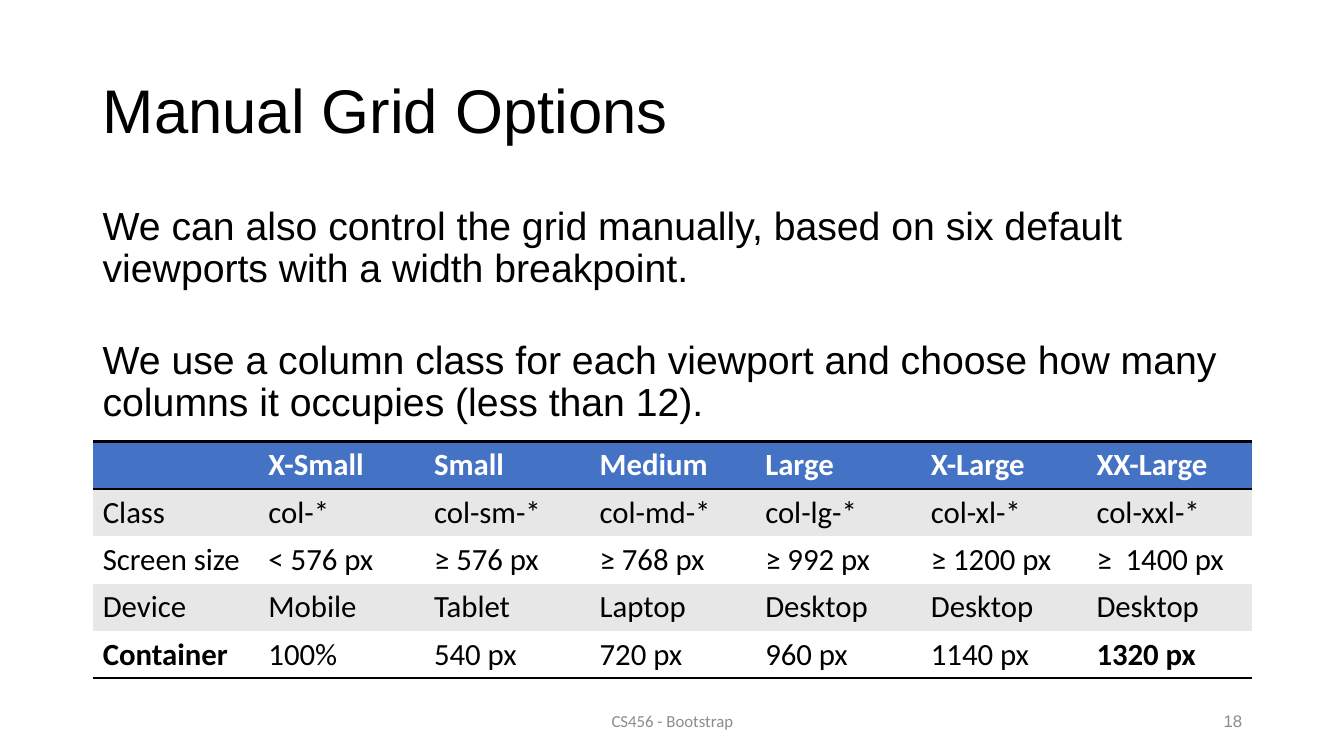
"""Build the slide on manual grid options and their six viewports."""
from dataclasses import dataclass

from lxml import etree
from pptx import Presentation
from pptx.dml.color import RGBColor
from pptx.enum.text import MSO_ANCHOR, PP_ALIGN
from pptx.oxml.ns import qn
from pptx.slide import Slide
from pptx.table import Table, _Cell
from pptx.text.text import TextFrame
from pptx.util import Inches, Pt

LEFT, CENTER, RIGHT = PP_ALIGN.LEFT, PP_ALIGN.CENTER, PP_ALIGN.RIGHT
TOP, MIDDLE = MSO_ANCHOR.TOP, MSO_ANCHOR.MIDDLE

BLACK = RGBColor(0x00, 0x00, 0x00)
WHITE = RGBColor(0xFF, 0xFF, 0xFF)
GRAY = RGBColor(0x8C, 0x8C, 0x8C)
HEADER_BLUE = RGBColor(0x44, 0x72, 0xC4)
BAND_GRAY = RGBColor(0xE7, 0xE7, 0xE7)

PLAIN_TABLE_STYLE = "{2D5ABB26-0587-4C30-8999-92F81FD0307C}"
MARGIN = 0.92
CONTENT_WIDTH = 11.5
ROW_HEIGHT = 0.47
RULE_WIDTH = Pt(2)

GRID_OPTIONS = [
    ["", "X-Small", "Small", "Medium", "Large", "X-Large", "XX-Large"],
    ["Class", "col-*", "col-sm-*", "col-md-*", "col-lg-*", "col-xl-*", "col-xxl-*"],
    ["Screen size", "< 576 px", "≥ 576 px", "≥ 768 px", "≥ 992 px", "≥ 1200 px", "≥  1400 px"],
    ["Device", "Mobile", "Tablet", "Laptop", "Desktop", "Desktop", "Desktop"],
    ["Container", "100%", "540 px", "720 px", "960 px", "1140 px", "1320 px"],
]
BOLD_ENTRIES = {"Container", "1320 px"}


@dataclass(frozen=True)
class TextStyle:
    size: float
    font: str = "Arial"
    color: RGBColor = BLACK
    bold: bool = False
    align: PP_ALIGN = LEFT
    line_spacing: float = 1.0


@dataclass(frozen=True)
class TextBlock:
    left: float
    top: float
    width: float
    height: float
    paragraphs: tuple[str, ...]
    style: TextStyle
    anchor: MSO_ANCHOR = MIDDLE
    space_before: tuple[float, ...] = (0,)


TITLE = TextBlock(MARGIN, 0.4, CONTENT_WIDTH, 1.45, ("Manual Grid Options",),
                  TextStyle(44, line_spacing=0.9))
TEXT_BLOCKS = [
    TextBlock(MARGIN, 2, CONTENT_WIDTH, 2.3, (
        "We can also control the grid manually, based on six default viewports with a width breakpoint.",
        "We use a column class for each viewport and choose how many columns it occupies (less than 12).",
    ), TextStyle(28, line_spacing=0.9), TOP, (10, 35)),
    TextBlock(4.42, 6.95, 4.5, 0.4, ("CS456 - Bootstrap",),
              TextStyle(12, "Calibri", GRAY, align=CENTER)),
    TextBlock(9.42, 6.95, 3, 0.4, ("18",), TextStyle(12, color=GRAY, align=RIGHT)),
]


def style_text(frame: TextFrame, style: TextStyle) -> None:
    for paragraph in frame.paragraphs:
        paragraph.alignment = style.align
        paragraph.line_spacing = style.line_spacing
        for run in paragraph.runs:
            run.font.size = Pt(style.size)
            run.font.name = style.font
            run.font.bold = style.bold
            run.font.color.rgb = style.color


def fill_block(frame: TextFrame, block: TextBlock) -> None:
    frame.word_wrap = True
    frame.vertical_anchor = block.anchor
    frame.text = "\n".join(block.paragraphs)
    style_text(frame, block.style)
    for paragraph, space in zip(frame.paragraphs, block.space_before):
        paragraph.space_before = Pt(space)


def place_title(slide: Slide, block: TextBlock) -> None:
    title = slide.shapes.title
    title.left, title.top = Inches(block.left), Inches(block.top)
    title.width, title.height = Inches(block.width), Inches(block.height)
    fill_block(title.text_frame, block)


def add_text_block(slide: Slide, block: TextBlock) -> None:
    box = slide.shapes.add_textbox(Inches(block.left), Inches(block.top),
                                   Inches(block.width), Inches(block.height))
    fill_block(box.text_frame, block)


def add_rules(cell: _Cell, sides: list[str]) -> None:
    properties = cell._tc.get_or_add_tcPr()
    for position, side in enumerate(sides):
        rule = etree.Element(qn(f"a:{side}"), w=str(RULE_WIDTH))
        fill = etree.SubElement(rule, qn("a:solidFill"))
        etree.SubElement(fill, qn("a:srgbClr"), val=str(BLACK))
        properties.insert(position, rule)


def format_row(table: Table, row: int, entries: list[str]) -> None:
    is_header = row == 0
    if is_header:
        fill, sides = HEADER_BLUE, ["lnT", "lnB"]
    else:
        fill = BAND_GRAY if row % 2 else WHITE
        sides = ["lnB"] if row == len(GRID_OPTIONS) - 1 else []
    for column, entry in enumerate(entries):
        cell = table.cell(row, column)
        cell.text_frame.text = entry
        style_text(cell.text_frame, TextStyle(
            22, "Calibri", WHITE if is_header else BLACK,
            bold=is_header or entry in BOLD_ENTRIES))
        cell.fill.solid()
        cell.fill.fore_color.rgb = fill
        add_rules(cell, sides)


def add_grid_table(slide: Slide) -> None:
    row_count, column_count = len(GRID_OPTIONS), len(GRID_OPTIONS[0])
    table = slide.shapes.add_table(
        row_count, column_count, Inches(MARGIN), Inches(4.38),
        Inches(CONTENT_WIDTH), Inches(ROW_HEIGHT * row_count)).table
    table._tbl.tblPr.find(qn("a:tableStyleId")).text = PLAIN_TABLE_STYLE
    for row, entries in enumerate(GRID_OPTIONS):
        format_row(table, row, entries)


def main() -> None:
    presentation = Presentation()
    presentation.slide_width, presentation.slide_height = Inches(13.33), Inches(7.5)
    slide = presentation.slides.add_slide(presentation.slide_layouts.get_by_name("Title Only"))
    place_title(slide, TITLE)
    for block in TEXT_BLOCKS:
        add_text_block(slide, block)
    add_grid_table(slide)
    presentation.save("out.pptx")


if __name__ == "__main__":
    main()
